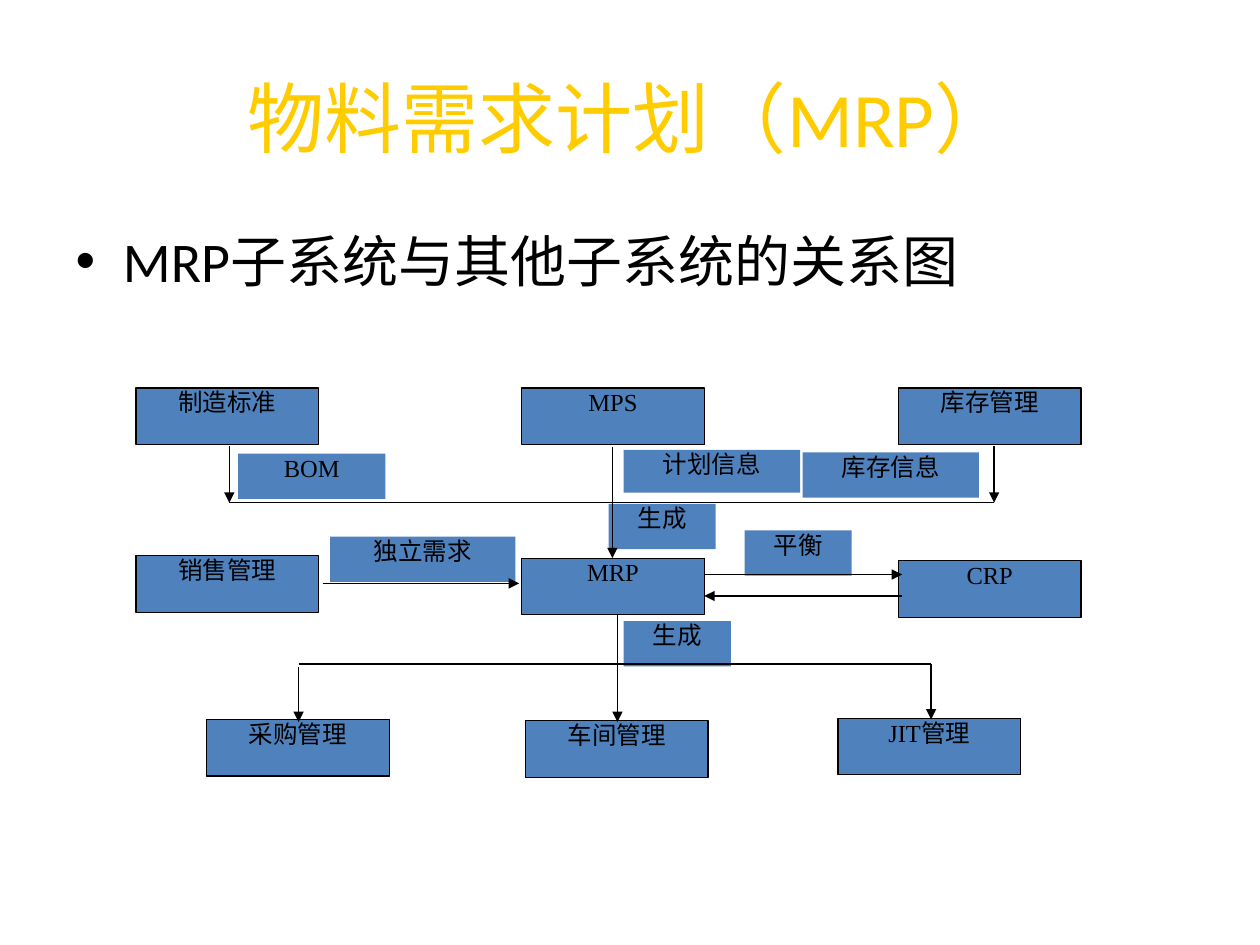
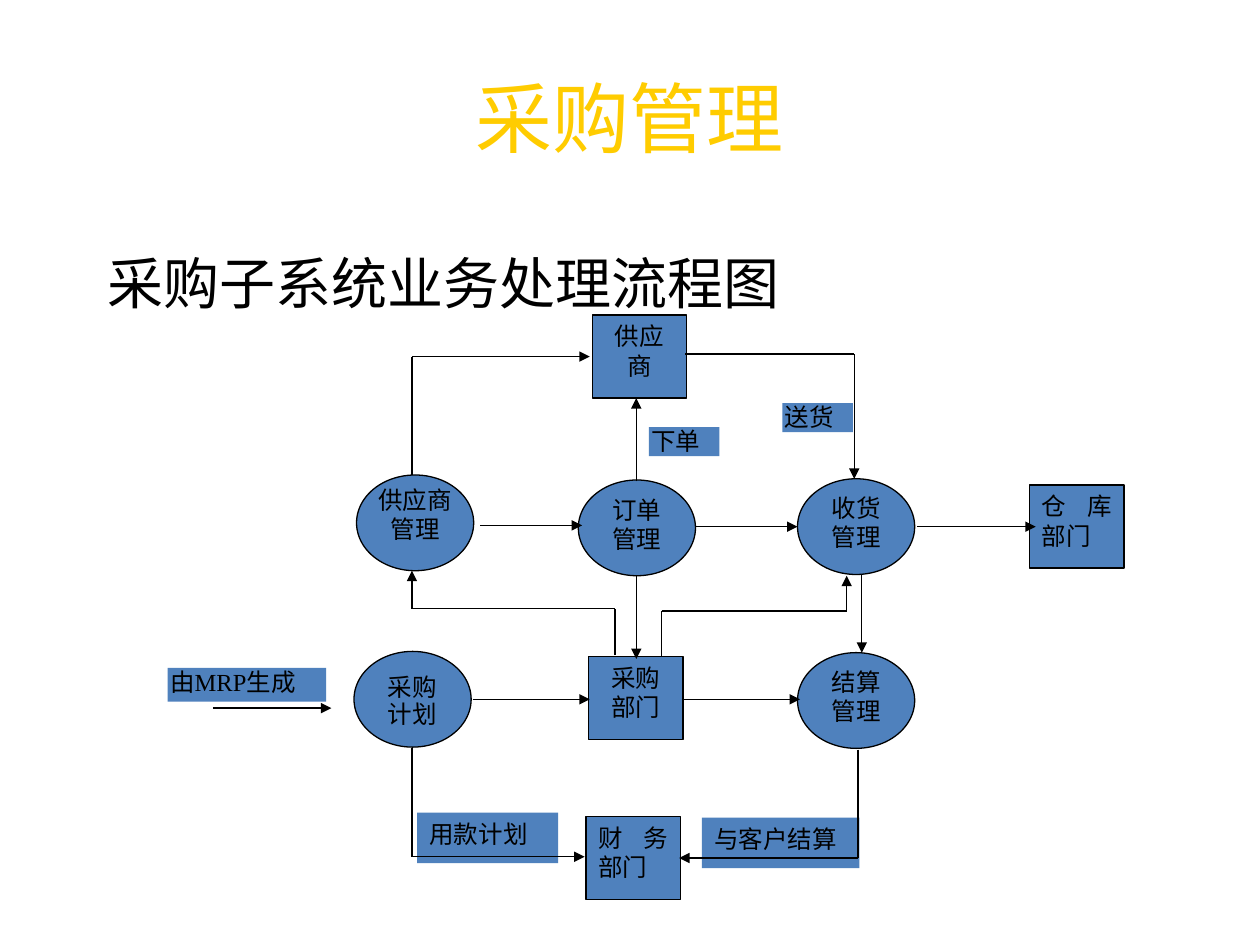
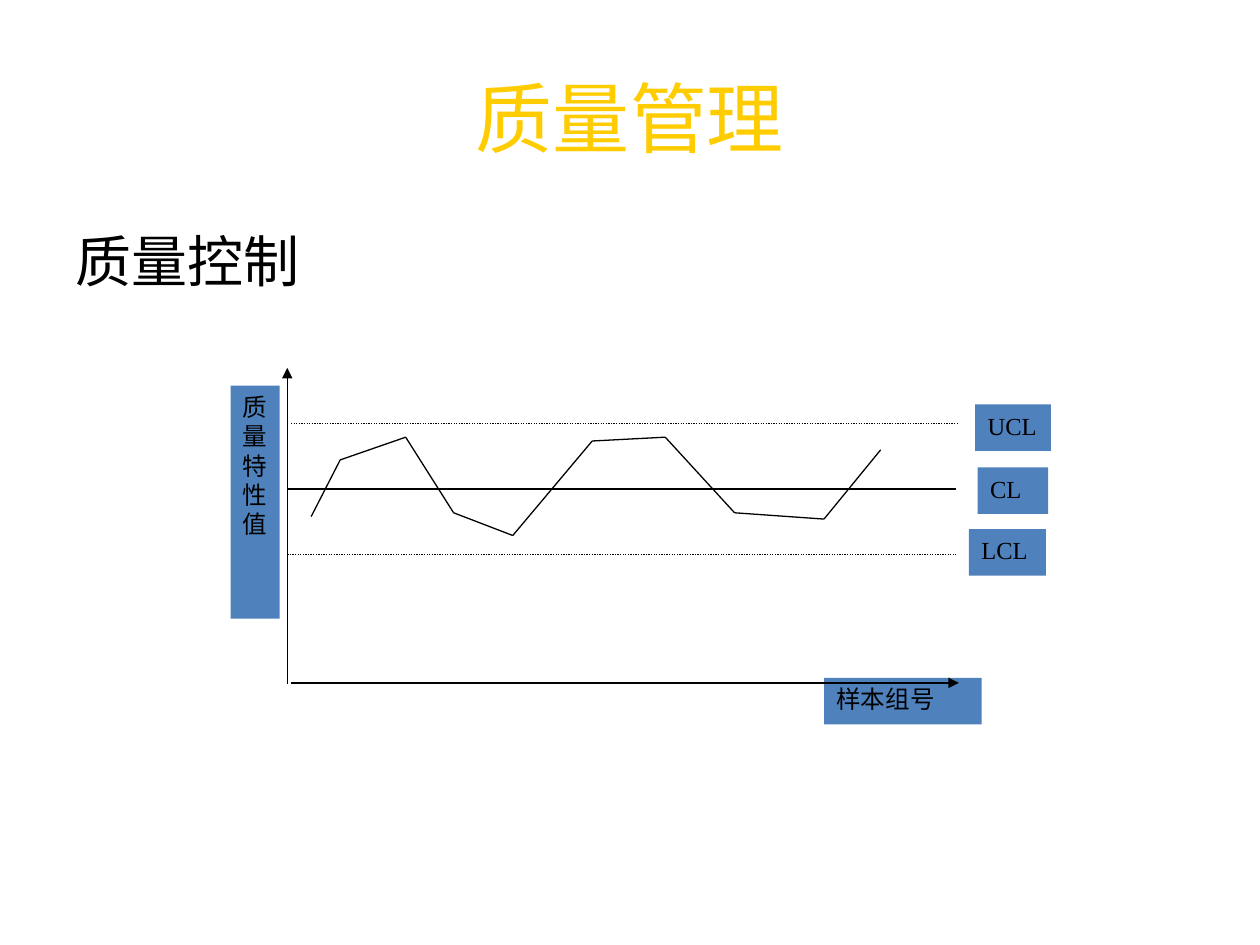
import itertools
import lxml.etree
import pptx
import pptx.dml.color
import pptx.enum.dml
import pptx.enum.lang
import pptx.enum.shapes
import pptx.enum.text
import pptx.oxml.ns
import pptx.util

Inches = pptx.util.Inches
Pt = pptx.util.Pt
hue = pptx.dml.color.RGBColor.from_string
qn = pptx.oxml.ns.qn
Align = pptx.enum.text.PP_ALIGN
Shape = pptx.enum.shapes.MSO_SHAPE
DOTS = pptx.enum.dml.MSO_LINE.ROUND_DOT
CHINESE = pptx.enum.lang.MSO_LANGUAGE_ID.SIMPLIFIED_CHINESE

# Shared look
GOLD, BLUE, BLACK = "FFCC00", "4F81BD", "000000"
SANS, SERIF, CJK = "Calibri", "Times New Roman", "Noto Sans CJK SC"
MID, JUST = Align.CENTER, Align.JUSTIFY


def box(slide, at, rows, face=SERIF, align=MID, edge=False, tight=False,
        kind=Shape.RECTANGLE):
    """Add a blue shape; rows holds (text, line spacing) pairs."""
    shape = slide.shapes.add_shape(kind, *[Inches(n) for n in at])
    shape.shadow.inherit = False
    shape.fill.solid()
    shape.fill.fore_color.rgb = hue(BLUE)
    if edge:
        shape.line.color.rgb = hue(BLACK)
        shape.line.width = Pt(0.75)
    else:
        shape.line.fill.background()
    frame = shape.text_frame
    frame.word_wrap = True
    frame.vertical_anchor = pptx.enum.text.MSO_ANCHOR.TOP
    if tight:
        frame.margin_left = frame.margin_right = Inches(0.02)
        frame.margin_top = frame.margin_bottom = Inches(0.01)
    for i, (text, space) in enumerate(rows):
        para = frame.add_paragraph() if i else frame.paragraphs[0]
        para.alignment = align
        para.line_spacing = space
        run = para.add_run()
        run.text = text
        run.font.size = Pt(14)
        run.font.name = face
        run.font.color.rgb = hue(BLACK)
        run.font.language_id = CHINESE


def route(slide, points, arrow=False, dash=None):
    """Join the points by straight lines, with an arrow at the last one."""
    for start, end in itertools.pairwise(points):
        line = slide.shapes.add_connector(
            pptx.enum.shapes.MSO_CONNECTOR.STRAIGHT,
            *[Inches(n) for n in (*start, *end)])
        line.line.color.rgb = hue(BLACK)
        line.line.width = Pt(0.75)
        if dash:
            line.line.dash_style = dash
        props = line.element.spPr
        if arrow and end == points[-1]:
            lxml.etree.SubElement(props.find(qn("a:ln")), qn("a:tailEnd"),
                                  type="triangle")
        lxml.etree.SubElement(props, qn("a:effectLst"))


deck = pptx.Presentation()
deck.slide_width, deck.slide_height = Inches(10), Inches(7.5)

# Titles and lead lines: title runs, lead, place of lead, bullet
WIDE = (0.5, 1.75, 9, 4.95)
heads = [
    ([("物料需求计划（MRP）", SANS)], "MRP子系统与其他子系统的关系图", WIDE, True),
    ([("采购管理", SANS)], "采购子系统业务处理流程图", (0.75, 1.92, 8.5, 4.5), False),
    ([("质量", SANS), ("管理", CJK)], "质量控制", WIDE, False),
]
for title, lead, at, bullet in heads:
    slide = deck.slides.add_slide(deck.slide_layouts[1])
    head, body = slide.placeholders
    head.left, head.top, head.width, head.height = [
        Inches(n) for n in (0.5, 0.3, 9, 1.25)]
    body.left, body.top, body.width, body.height = [Inches(n) for n in at]
    para = body.text_frame.paragraphs[0]
    if not bullet:
        lxml.etree.SubElement(para._p.get_or_add_pPr(), qn("a:buNone"))
    para.space_before = Pt(0)
    texts = [(head.text_frame.paragraphs[0], *part, 44, GOLD) for part in title]
    texts.append((para, lead, SANS, 32, BLACK))
    for para, text, face, size, tint in texts:
        run = para.add_run()
        run.text = text
        run.font.size = Pt(size)
        run.font.name = face
        run.font.color.rgb = hue(tint)
        run.font.language_id = CHINESE
plan, buy, check = deck.slides

# Slide 1: labels, nodes and flows of the MRP system
for text, *at in [
    ("生成", 4.83, 4, 0.85, 0.36), ("生成", 4.95, 4.93, 0.85, 0.36),
    ("独立需求", 2.62, 4.26, 1.47, 0.36), ("平衡", 5.91, 4.21, 0.85, 0.36),
    ("BOM", 1.89, 3.6, 1.17, 0.36), ("库存信息", 6.37, 3.59, 1.4, 0.36),
    ("计划信息", 4.95, 3.57, 1.4, 0.34),
]:
    box(plan, at, [(text, 0.96)], tight=True)
for text, x, y in [
    ("制造标准", 1.08, 3.08), ("MPS", 4.14, 3.08), ("库存管理", 7.13, 3.08),
    ("销售管理", 1.08, 4.41), ("MRP", 4.14, 4.43), ("CRP", 7.13, 4.45),
    ("采购管理", 1.64, 5.71), ("车间管理", 4.17, 5.72), ("JIT管理", 6.65, 5.7),
]:
    box(plan, (x, y, 1.45, 0.45), [(text, 0.96)], edge=True, tight=True)
for points in [
    [(4.86, 3.55), (4.86, 4.43)], [(2.56, 4.63), (4.12, 4.63)],
    [(5.59, 4.56), (7.16, 4.56)], [(7.16, 4.73), (5.59, 4.73)],
    [(2.37, 5.29), (2.37, 5.73)], [(4.9, 4.87), (4.9, 5.73)],
    [(2.37, 5.27), (7.39, 5.27), (7.39, 5.71)],
    [(1.82, 3.54), (1.82, 3.99)], [(7.89, 3.54), (7.89, 3.99)],
]:
    route(plan, points, arrow=True)
route(plan, [(1.82, 3.99), (7.89, 3.99)])

# Slide 2: labels
for text, *at in [("与客户结算", 5.57, 6.49, 1.25, 0.4),
                  ("用款计划", 3.31, 6.45, 1.12, 0.4)]:
    box(buy, at, [(text, None)], align=JUST)
for text, *at in [("由MRP生成", 1.33, 5.3, 1.26, 0.27),
                  ("送货", 6.21, 3.2, 0.56, 0.23),
                  ("下单", 5.15, 3.39, 0.56, 0.23)]:
    box(buy, at, [(text, 0.96)], align=JUST, tight=True)

# Slide 2: outside parties, then tasks
for text, x, y, align in [
    ("仓库部门", 8.17, 3.85, JUST), ("采购部门", 4.67, 5.21, MID),
    ("供应商", 4.7, 2.5, MID), ("财务部门", 4.65, 6.48, JUST),
]:
    box(buy, (x, y, 0.75, 0.66), [(text, None)], SANS, align, edge=True)
for top, low, x, y, gaps, tight in [
    ("订单", "管理", 4.59, 3.81, (0.8, None), False),
    ("结算", "管理", 6.33, 5.18, (0.8, None), False),
    ("收货", "管理", 6.33, 3.8, (0.8, None), False),
    ("采购", "计划", 2.81, 5.17, (None, 0.96), False),
    ("供应商", "管理", 2.83, 3.77, (0.8, None), True),
]:
    box(buy, (x, y, 0.93, 0.76), list(zip((top, low), gaps)), SANS,
        edge=True, tight=tight, kind=Shape.OVAL)

# Slide 2: flows
for points in [
    [(5.41, 5.55), (6.35, 5.55)], [(5.05, 4.57), (5.05, 5.23)],
    [(5.05, 3.82), (5.05, 3.16)], [(1.69, 5.62), (2.63, 5.62)],
    [(5.52, 4.18), (6.33, 4.18)], [(3.75, 5.55), (4.68, 5.55)],
    [(3.81, 4.17), (4.62, 4.17)], [(7.28, 4.18), (8.22, 4.18)],
    [(6.84, 4.56), (6.84, 5.18)],
    [(4.88, 5.2), (4.88, 4.83), (3.27, 4.83), (3.27, 4.53)],
    [(5.25, 5.21), (5.25, 4.85), (6.72, 4.85), (6.72, 4.57)],
    [(3.27, 5.94), (3.27, 6.8), (4.64, 6.8)],
    [(6.81, 5.95), (6.81, 6.81), (5.39, 6.81)],
    [(3.27, 3.77), (3.27, 2.83), (4.68, 2.83)],
    [(5.44, 2.81), (6.78, 2.81), (6.78, 3.8)],
]:
    route(buy, points, arrow=True)

# Slide 3: labels of the control chart
for text, *at in [
    ("样本组号", 6.54, 5.38, 1.25, 0.37), ("质量特性值", 1.83, 3.06, 0.39, 1.85),
    ("UCL", 7.74, 3.21, 0.6, 0.37), ("CL", 7.76, 3.71, 0.56, 0.37),
    ("LCL", 7.69, 4.2, 0.61, 0.37),
]:
    box(check, at, [(text, None)], align=JUST)

# Slide 3: axes, limits and samples
route(check, [(2.28, 5.43), (2.28, 2.92)], arrow=True)
route(check, [(2.31, 5.42), (7.61, 5.42)], arrow=True)
route(check, [(2.28, 3.88), (7.59, 3.88)])
route(check, [(2.31, 3.36), (7.61, 3.36)], dash=DOTS)
route(check, [(2.28, 4.4), (7.59, 4.4)], dash=DOTS)
route(check, [(2.47, 4.1), (2.7, 3.65), (3.22, 3.47), (3.6, 4.07), (4.07, 4.25),
              (4.7, 3.5), (5.28, 3.47), (5.83, 4.07), (6.54, 4.12), (6.99, 3.57)])

deck.save("out.pptx")
